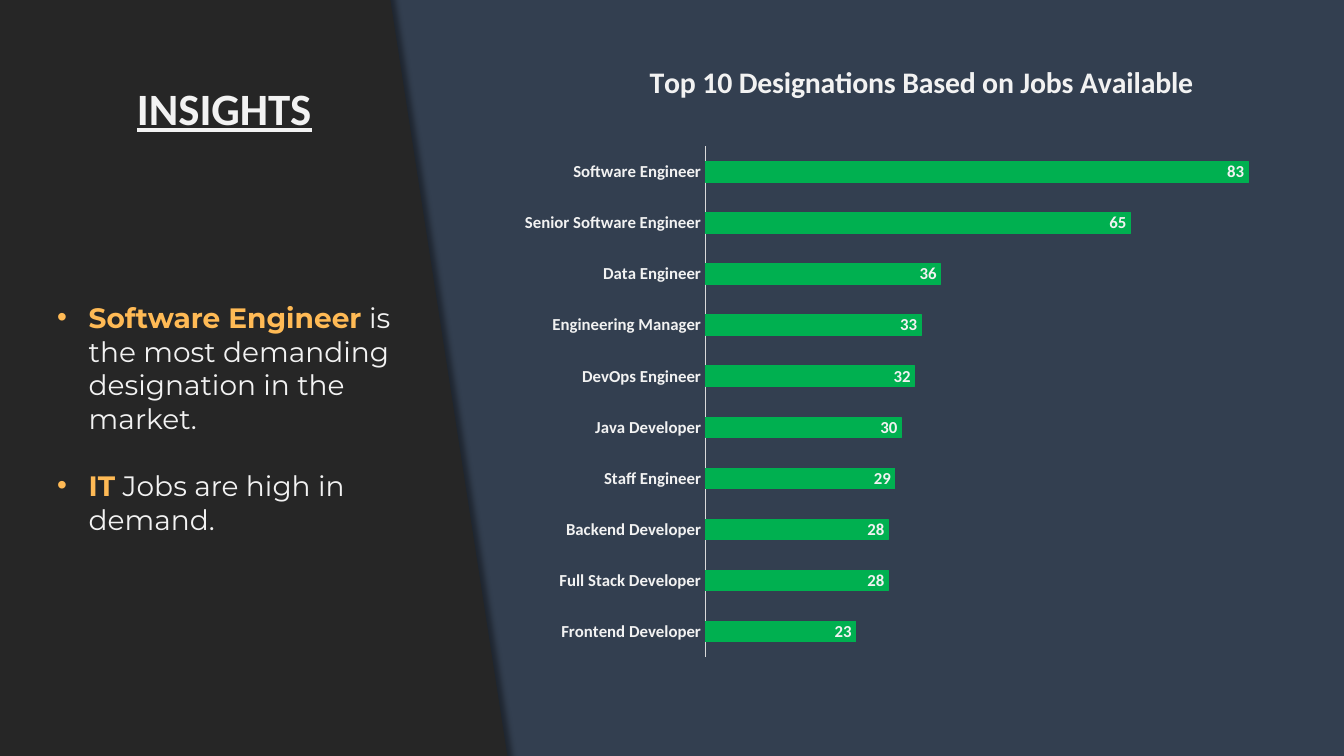
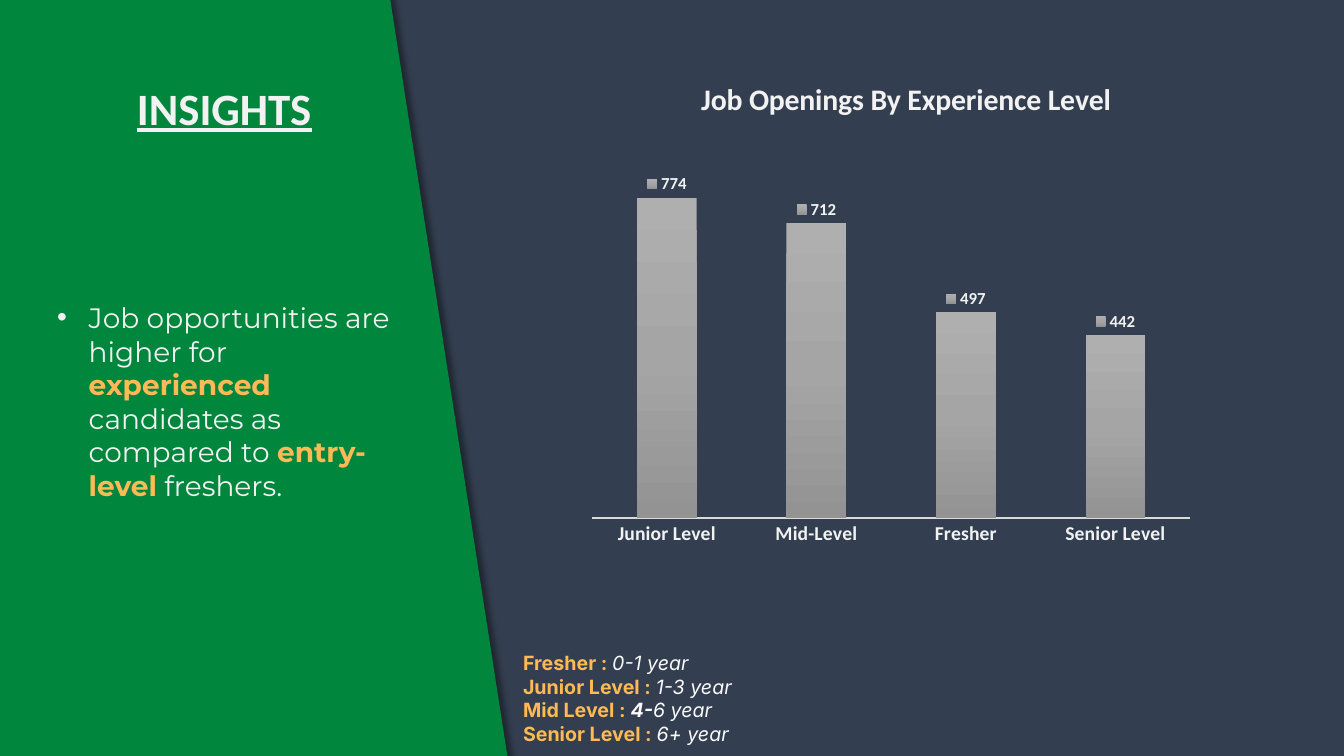
from dataclasses import dataclass

from pptx import Presentation, util as u
from pptx.chart import data as chart_data
from pptx.dml.color import RGBColor
from pptx.enum import chart as chart_enum, shapes, text
from pptx.oxml import parse_xml
from pptx.oxml.ns import nsdecls, qn


@dataclass(frozen=True)
class Theme:
    background: str = "333F50"
    dark_panel: str = "262626"
    green_panel: str = "00863D"
    light: str = "F2F2F2"
    white: str = "FAFAFA"
    accent: str = "FFBA55"
    bar: str = "00B050"
    axis: str = "D9D9D9"
    column_gradient: tuple = ((0, "AFAFAF"), (50, "A5A5A5"), (100, "939393"))
    heading_font: str = "Calibri"
    body_font: str = "Montserrat"
    note_font: str = "Inter"
    heading_size: float = 32
    chart_title_size: float = 21.3
    body_size: float = 20
    note_size: float = 14
    label_size: float = 12


THEME = Theme()
SLIDE_SIZE = (960, 540)
PANEL_BOX = (-57.6, -17.3, 377.3, 597.6)
PANEL_ROTATION = 351.2
HEADING_BOX = (86.4, 50.4, 147.6, 49.7)
BULLET_INDENT = 22.5
BULLET_GAP = 24


def points(box):
    return [u.Pt(value) for value in box]


def rgb(color):
    return RGBColor.from_string(color)


def style_font(font, size, name, color=None, bold=None):
    font.size = u.Pt(size)
    font.name = name
    font.bold = bold
    if color:
        font.color.rgb = rgb(color)


def add_run(paragraph, words, color, bold=False, italic=False):
    run = paragraph.add_run()
    run.text = words
    run.font.color.rgb = rgb(color)
    run.font.bold = bold
    run.font.italic = italic


def add_text_frame(slide, box):
    frame = slide.shapes.add_textbox(*points(box)).text_frame
    frame.word_wrap = True
    frame.auto_size = text.MSO_AUTO_SIZE.SHAPE_TO_FIT_TEXT
    return frame


def frame_paragraphs(frame, items):
    """Yield each item with its own paragraph, starting at the existing one."""
    for index, item in enumerate(items):
        yield (frame.add_paragraph() if index else frame.paragraphs[0]), item


def add_panel(slide, box, color):
    panel = slide.shapes.add_shape(shapes.MSO_SHAPE.RECTANGLE, *points(box))
    panel.rotation = PANEL_ROTATION
    panel.fill.solid()
    panel.fill.fore_color.rgb = rgb(color)
    panel.line.color.rgb = rgb(color)
    panel.line.width = u.Pt(1)
    panel.shadow.inherit = False
    panel.element.spPr.find(qn("a:effectLst")).append(parse_xml(
        f'<a:outerShdw {nsdecls("a")} blurRad="{u.Pt(4)}" dist="{u.Pt(3)}" dir="0" '
        'algn="l" rotWithShape="0"><a:srgbClr val="000000"><a:alpha val="40000"/>'
        '</a:srgbClr></a:outerShdw>'))
    slide.shapes.element.insert(2, panel.element)  # behind the title


def format_heading(title, box, words):
    title.left, title.top, title.width, title.height = points(box)
    frame = title.text_frame
    frame.text = words
    frame.word_wrap = True
    frame.auto_size = text.MSO_AUTO_SIZE.NONE
    frame.vertical_anchor = text.MSO_ANCHOR.BOTTOM
    paragraph = frame.paragraphs[0]
    paragraph.alignment = text.PP_ALIGN.CENTER
    paragraph.line_spacing = 0.9
    style_font(paragraph.font, THEME.heading_size, THEME.heading_font, THEME.light, True)
    paragraph.font.underline = True


def add_bullets(slide, box, bullets):
    """Each bullet is a list of (words, emphasised) pairs."""
    frame = add_text_frame(slide, box)
    for paragraph, pieces in frame_paragraphs(frame, bullets):
        properties = paragraph._p.get_or_add_pPr()
        properties.set("marL", str(u.Pt(BULLET_INDENT)))
        properties.set("indent", str(-u.Pt(BULLET_INDENT)))
        properties.append(parse_xml(f'<a:buFont {nsdecls("a")} typeface="Arial"/>'))
        properties.append(parse_xml(f'<a:buChar {nsdecls("a")} char="•"/>'))
        if pieces is not bullets[0]:
            paragraph.space_before = u.Pt(BULLET_GAP)
        style_font(paragraph.font, THEME.body_size, THEME.body_font)
        for words, emphasised in pieces:
            add_run(paragraph, words, THEME.accent if emphasised else THEME.light, emphasised)


def add_level_notes(slide, box, notes):
    frame = add_text_frame(slide, box)
    for paragraph, (level, pieces) in frame_paragraphs(frame, notes):
        style_font(paragraph.font, THEME.note_size, THEME.note_font)
        add_run(paragraph, f"{level} : ", THEME.accent, bold=True)
        for words, bold in pieces:
            add_run(paragraph, words, THEME.white, bold, italic=True)


def set_layout(element, index, **fractions):
    """Give a chart title or plot area a manual layout as its child at index."""
    for layout in element.findall(qn("c:layout")):
        element.remove(layout)
    target = '<c:layoutTarget val="inner"/>' if "w" in fractions else ""
    modes = '<c:xMode val="edge"/><c:yMode val="edge"/>'
    values = "".join(f'<c:{key} val="{value}"/>' for key, value in fractions.items())
    element.insert(index, parse_xml(
        f'<c:layout {nsdecls("c")}><c:manualLayout>{target}{modes}{values}'
        '</c:manualLayout></c:layout>'))


def add_insight_chart(slide, box, kind, title, title_at, plot, values, maximum,
                      category_size, axis_width, label_position):
    data = chart_data.CategoryChartData()
    data.categories = list(values)
    data.add_series("Series 1", list(values.values()))
    chart = slide.shapes.add_chart(kind, *points(box), data).chart
    chart.has_legend = False
    style_font(chart.font, THEME.label_size, THEME.heading_font, THEME.light)

    chart.has_title = True
    title_frame = chart.chart_title.text_frame
    title_frame.text = title
    style_font(title_frame.paragraphs[0].font, THEME.chart_title_size,
               THEME.heading_font, THEME.light, True)
    set_layout(chart.chart_title._element, 1, **dict(zip("xy", title_at)))
    set_layout(chart.element.find(f".//{qn('c:plotArea')}"), 0, **dict(zip("xywh", plot)))

    value_axis = chart.value_axis
    value_axis.visible = False
    value_axis.has_major_gridlines = False
    value_axis.minimum_scale = 0
    value_axis.maximum_scale = maximum
    category_axis = chart.category_axis
    category_axis.major_tick_mark = chart_enum.XL_TICK_MARK.NONE
    category_axis.format.line.color.rgb = rgb(THEME.axis)
    category_axis.format.line.width = u.Pt(axis_width)
    style_font(category_axis.tick_labels.font, category_size, THEME.heading_font,
               THEME.light, True)

    bars = chart.plots[0]
    bars.gap_width = 150
    bars.vary_by_categories = False
    labels = bars.series[0].data_labels
    labels.show_value = True
    labels.position = label_position
    style_font(labels.font, THEME.label_size, THEME.heading_font, THEME.light, True)
    return chart


def fill_bars(chart, color):
    bars = chart.plots[0]
    bars.overlap = 100
    series_format = bars.series[0].format
    series_format.fill.solid()
    series_format.fill.fore_color.rgb = rgb(color)
    series_format.line.color.rgb = rgb(color)
    series_format.line.width = u.Pt(0.75)


def fill_columns(chart, gradient):
    series = chart.plots[0].series[0]
    series.data_labels.show_legend_key = True
    series.format.fill.gradient()
    series.format.fill.gradient_angle = 270
    stops = chart.element.find(f".//{qn('a:gsLst')}")
    for stop in list(stops):
        stops.remove(stop)
    for position, color in gradient:
        stops.append(parse_xml(f'<a:gs {nsdecls("a")} pos="{position * 1000}">'
                               f'<a:srgbClr val="{color}"/></a:gs>'))


def add_insight_slide(presentation, panel_color, bullets, bullets_height):
    slide = presentation.slides.add_slide(presentation.slide_layouts[5])
    add_panel(slide, PANEL_BOX, panel_color)
    format_heading(slide.shapes.title, HEADING_BOX, "INSIGHTS")
    add_bullets(slide, (33.8, 211, 252.7, bullets_height), bullets)
    return slide


def add_designations_slide(presentation):
    slide = add_insight_slide(presentation, THEME.dark_panel, [
        [("Software Engineer", True),
         (" is the most demanding designation in the market.", False)],
        [("IT", True), (" Jobs are high in demand.", False)],
    ], 152.6)
    chart = add_insight_chart(
        slide, (362.9, 21.6, 572.4, 460.8), chart_enum.XL_CHART_TYPE.BAR_STACKED,
        "Top 10 Designations Based on Jobs Available", (0.17, 0.04),
        (0.246, 0.18, 0.735, 0.792),
        {"Frontend Developer": 23, "Full Stack Developer": 28, "Backend Developer": 28,
         "Staff Engineer": 29, "Java Developer": 30, "DevOps Engineer": 32,
         "Engineering Manager": 33, "Data Engineer": 36,
         "Senior Software Engineer": 65, "Software Engineer": 83},
        90, 12, 0.75, chart_enum.XL_LABEL_POSITION.INSIDE_END)
    fill_bars(chart, THEME.bar)


def add_experience_slide(presentation):
    slide = add_insight_slide(presentation, THEME.green_panel, [
        [("Job opportunities are higher for ", False), ("experienced", True),
         (" candidates as compared to ", False), ("entry-level", True),
         (" freshers.", False)],
    ], 104.4)
    chart = add_insight_chart(
        slide, (370.8, 34.6, 548.6, 390.2), chart_enum.XL_CHART_TYPE.COLUMN_CLUSTERED,
        "Job Openings By Experience Level", (0.23, 0.045),
        (0.095, 0.178, 0.779, 0.682),
        {"Junior Level": 774, "Mid-Level": 712, "Fresher": 497, "Senior Level": 442},
        900, 14, 1, chart_enum.XL_LABEL_POSITION.OUTSIDE_END)
    fill_columns(chart, THEME.column_gradient)
    add_level_notes(slide, (366.5, 461.5, 226.8, 74.9), [
        ("Fresher", [("0-1 year", False)]),
        ("Junior Level", [("1-3 year", False)]),
        ("Mid Level", [("4-", True), ("6 year", False)]),
        ("Senior Level", [("6+ year", False)]),
    ])


def main():
    presentation = Presentation()
    presentation.slide_width, presentation.slide_height = points(SLIDE_SIZE)
    background = presentation.slide_master.background.fill
    background.solid()
    background.fore_color.rgb = rgb(THEME.background)
    add_designations_slide(presentation)
    add_experience_slide(presentation)
    presentation.save("out.pptx")


if __name__ == "__main__":
    main()
